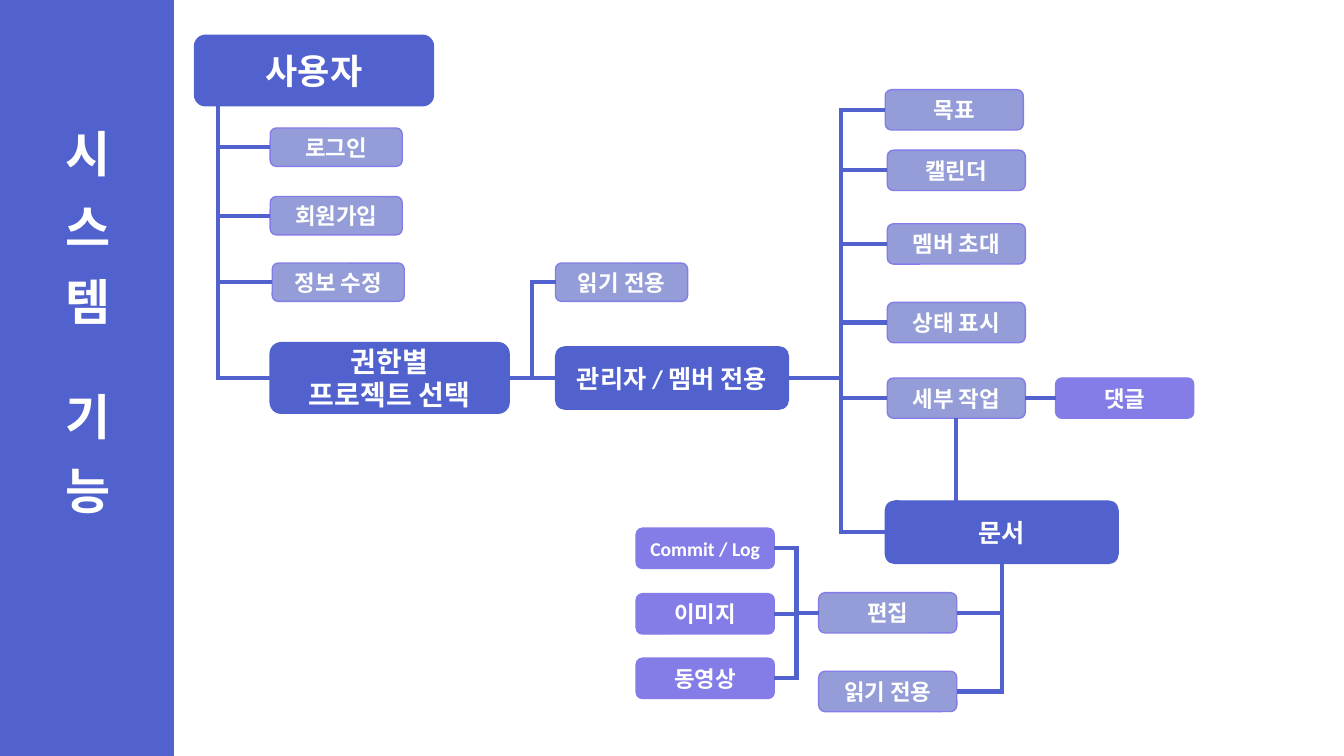
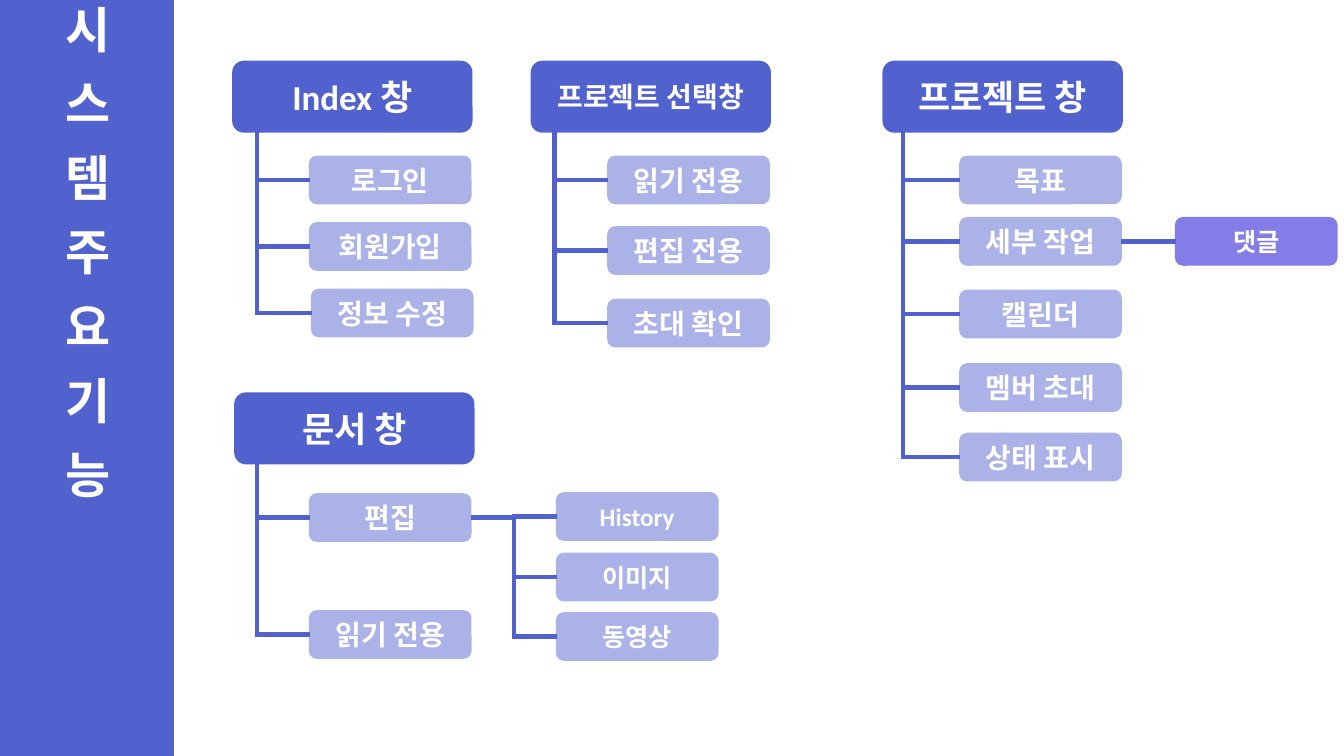
"""Build two slides of feature trees for a project management system."""
from lxml import etree
from pptx import Presentation
from pptx import util as u
from pptx.dml.color import RGBColor
from pptx.enum import shapes, text
from pptx.oxml.ns import qn

PX = 9144
SLIDE_SIZE = (1333, 750)
BAND = (0, 0, 172, 750)
BODY_FONT = "Calibri"
TITLE_FONT = "Noto Sans CJK KR"
TITLE_SIZE = 35
LETTER_GAP = 500
WORD_GAP = 3400
ROUNDING = 0.156
TOP, LEFT, BOTTOM, RIGHT = range(4)

COLORS = {
    "blue": "5161CE",
    "violet": "857DE7",
    "gray blue": "949DD7",
    "pale blue": "ABB2E7",
    "white": "FFFFFF",
}

STYLES = {
    "head": (237, 70, "blue", "blue", 25),
    "head small": (237, 70, "blue", "blue", 20),
    "group": (231, 62, "blue", "blue", 18),
    "entry": (131, 38, "gray blue", "violet", 16),
    "item": (137, 40, "gray blue", "violet", 16),
    "leaf": (137, 40, "violet", "violet", 16),
    "leaf small": (137, 40, "violet", "violet", 14),
    "card": (160, 47, "pale blue", "pale blue", 20),
    "card small": (160, 47, "pale blue", "pale blue", 18),
    "note": (160, 47, "violet", "violet", 18),
}

SLIDES = [
    {
        "title": ["시 스 템", " ", "기 능"],
        "title box": (46, 123, 79, 517),
        "title anchor": text.MSO_ANCHOR.TOP,
        "boxes": {
            "user": ("사용자", "head", 193, 35),
            "login": ("로그인", "entry", 268, 127),
            "join": ("회원가입", "entry", 268, 195),
            "profile": ("정보 수정", "entry", 270, 261),
            "project": ("권한별\n프로젝트 선택", "head small", 268, 340),
            "viewer": ("읽기 전용", "entry", 551, 261),
            "member": ("관리자 / 멤버 전용", "group", 551, 344),
            "goal": ("목표", "item", 878, 89),
            "calendar": ("캘린더", "item", 880, 149),
            "invite": ("멤버 초대", "item", 880, 222),
            "status": ("상태 표시", "item", 880, 300),
            "task": ("세부 작업", "item", 880, 375),
            "comment": ("댓글", "leaf", 1047, 375),
            "document": ("문서", "group", 878, 497),
            "edit": ("편집", "item", 812, 588),
            "read": ("읽기 전용", "item", 812, 666),
            "commit": ("Commit / Log", "leaf small", 631, 524),
            "image": ("이미지", "leaf", 631, 589),
            "video": ("동영상", "leaf", 631, 653),
        },
        "trees": [
            ("user", BOTTOM, 216, LEFT, ["login", "join", "profile", "project"]),
            ("project", RIGHT, 528, LEFT, ["viewer", "member"]),
            ("member", RIGHT, 834, LEFT,
             ["goal", "calendar", "invite", "status", "task", "document"]),
            ("document", BOTTOM, 994, RIGHT, ["edit", "read"]),
            ("edit", LEFT, 790, RIGHT, ["commit", "image", "video"]),
        ],
        "links": [("task", RIGHT, "comment"), ("task", BOTTOM, "document")],
    },
    {
        "title": ["시 스 템 주 요 기 능"],
        "title box": BAND,
        "title anchor": text.MSO_ANCHOR.MIDDLE,
        "boxes": {
            "index": ("Index 창", "head", 231, 61),
            "login": ("로그인", "card", 307, 155),
            "join": ("회원가입", "card", 307, 221),
            "profile": ("정보 수정", "card", 309, 287),
            "selection": ("프로젝트 선택창", "head small", 527, 61),
            "viewer": ("읽기 전용", "card", 603, 155),
            "editor": ("편집 전용", "card", 603, 225),
            "invitation": ("초대 확인", "card", 603, 297),
            "project": ("프로젝트 창", "head", 876, 61),
            "goal": ("목표", "card", 952, 155),
            "task": ("세부 작업", "card", 952, 216),
            "calendar": ("캘린더", "card", 952, 288),
            "invite": ("멤버 초대", "card", 952, 361),
            "status": ("상태 표시", "card", 952, 430),
            "comment": ("댓글", "note", 1166, 216),
            "document": ("문서 창", "head", 233, 390),
            "edit": ("편집", "card", 307, 490),
            "read": ("읽기 전용", "card", 307, 606),
            "history": ("History", "card small", 552, 489),
            "image": ("이미지", "card small", 552, 549),
            "video": ("동영상", "card small", 552, 608),
        },
        "trees": [
            ("index", BOTTOM, 255, LEFT, ["login", "join", "profile"]),
            ("selection", BOTTOM, 550, LEFT, ["viewer", "editor", "invitation"]),
            ("project", BOTTOM, 896, LEFT,
             ["goal", "task", "calendar", "invite", "status"]),
            ("document", BOTTOM, 255, LEFT, ["edit", "read"]),
            ("edit", RIGHT, 510, LEFT, ["history", "image", "video"]),
        ],
        "links": [("task", RIGHT, "comment")],
    },
]


def color(name):
    return RGBColor.from_string(COLORS[name])


def format_run(run, font_name, size):
    run.font.name = font_name
    run.font.size = u.Pt(size)
    run.font.bold = True
    run.font.color.rgb = color("white")


def add_block(slide, kind, box, fill, line):
    shape = slide.shapes.add_shape(kind, *(value * PX for value in box))
    shape.shadow.inherit = False
    shape.fill.solid()
    shape.fill.fore_color.rgb = color(fill)
    shape.line.color.rgb = color(line)
    shape.line.width = u.Pt(1)
    return shape


def add_box(slide, label, style, left, top):
    width, height, fill, line, size = STYLES[style]
    shape = add_block(slide, shapes.MSO_SHAPE.ROUNDED_RECTANGLE,
                      (left, top, width, height), fill, line)
    shape.adjustments[0] = ROUNDING
    frame = shape.text_frame
    frame.word_wrap = True
    frame.vertical_anchor = text.MSO_ANCHOR.MIDDLE
    frame.text = label
    for paragraph in frame.paragraphs:
        paragraph.alignment = text.PP_ALIGN.CENTER
        format_run(paragraph.runs[0], BODY_FONT, size)
    return shape


def add_title(slide, words, box, anchor):
    title = slide.shapes.title
    title.element.getparent().append(title.element)
    title.left, title.top, title.width, title.height = (v * PX for v in box)
    frame = title.text_frame
    frame.word_wrap = True
    frame.auto_size = text.MSO_AUTO_SIZE.NONE
    frame.vertical_anchor = anchor
    title.element.txBody.find(qn("a:bodyPr")).set("vert", "eaVert")
    paragraph = frame.paragraphs[0]
    paragraph.alignment = text.PP_ALIGN.LEFT
    for word in words:
        run = paragraph.add_run()
        run.text = word
        format_run(run, TITLE_FONT, TITLE_SIZE)
        properties = run.font._element
        properties.set("spc", str(LETTER_GAP if word.strip() else WORD_GAP))
        etree.SubElement(properties, qn("a:ea")).set("typeface", TITLE_FONT)


def add_line(slide, start, end):
    line = slide.shapes.add_connector(shapes.MSO_CONNECTOR.STRAIGHT, *start, *end)
    line.line.color.rgb = color("blue")
    line.line.width = u.Pt(3)
    etree.SubElement(line.element.spPr, qn("a:effectLst"))
    return line


def middle(shape):
    return shape.top + shape.height // 2


def add_branch(slide, shape, side, trunk):
    point = (trunk, middle(shape))
    add_line(slide, point, point).end_connect(shape, side)


def add_tree(slide, boxes, parent, parent_side, trunk, child_side, children):
    parent, trunk = boxes[parent], trunk * PX
    levels = [middle(boxes[child]) for child in children]
    if parent_side == BOTTOM:
        levels.append(parent.top + parent.height)
    else:
        levels.append(middle(parent))
        add_branch(slide, parent, parent_side, trunk)
    line = add_line(slide, (trunk, min(levels)), (trunk, max(levels)))
    line.line._get_or_add_ln().set("cap", "sq")
    for child in children:
        add_branch(slide, boxes[child], child_side, trunk)


def add_link(slide, start, side, end):
    point = (start.left + start.width // 2, end.top)
    line = add_line(slide, point, point)
    line.begin_connect(start, side)
    if side == RIGHT:
        line.end_connect(end, LEFT)


def build_slide(presentation, content):
    slide = presentation.slides.add_slide(presentation.slide_layouts[5])
    add_block(slide, shapes.MSO_SHAPE.RECTANGLE, BAND, "blue", "blue")
    add_title(slide, content["title"], content["title box"], content["title anchor"])
    boxes = {key: add_box(slide, *box) for key, box in content["boxes"].items()}
    for tree in content["trees"]:
        add_tree(slide, boxes, *tree)
    for start, side, end in content["links"]:
        add_link(slide, boxes[start], side, boxes[end])


def main():
    presentation = Presentation()
    presentation.slide_width, presentation.slide_height = (v * PX for v in SLIDE_SIZE)
    for content in SLIDES:
        build_slide(presentation, content)
    presentation.save("out.pptx")


if __name__ == "__main__":
    main()
